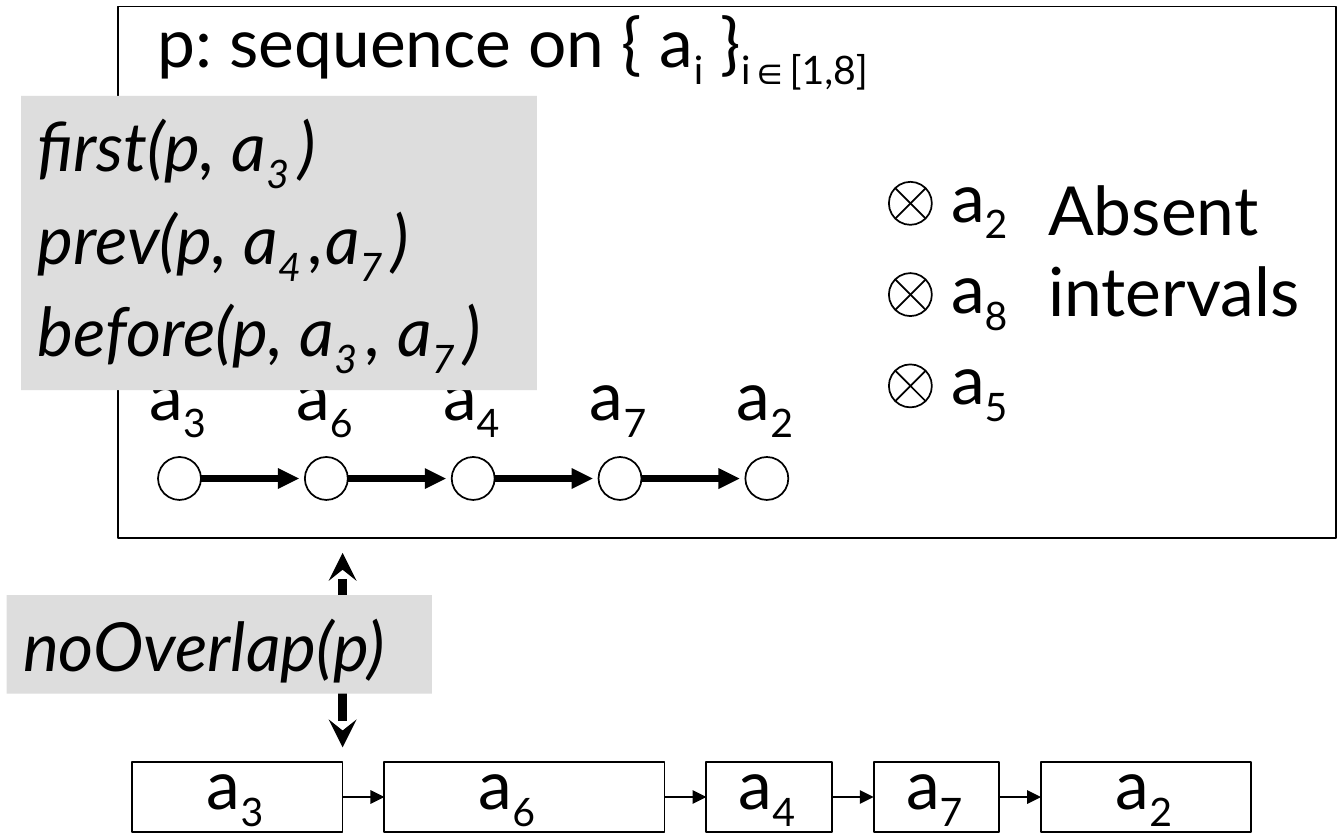
from itertools import groupby

from pptx import Presentation
from pptx.dml.color import RGBColor
from pptx.enum.shapes import MSO_CONNECTOR as CONN, MSO_SHAPE as SHAPE
from pptx.enum.text import MSO_ANCHOR as ANCHOR, PP_ALIGN as ALIGN
from pptx.oxml.ns import qn
from pptx.util import Cm, Pt
from lxml.etree import SubElement

COLORS = {"ink": "000000", "note": "DDDDDD"}
DOT = 0.65
LABEL_W, LABEL_H = 1.42, 1.65


def rgb(name):
    """Return the named colour."""
    return RGBColor.from_string(COLORS[name])


def write(tf, lines, italic=False, wrap=True):
    """Write lines whose odd-numbered parts are subscripts."""
    tf.word_wrap = wrap
    tf.vertical_anchor = ANCHOR.TOP
    for i, parts in enumerate(lines):
        p = tf.paragraphs[0] if i == 0 else tf.add_paragraph()
        p.alignment = ALIGN.LEFT
        for j, part in enumerate(parts):
            for symbol, chars in groupby(part, lambda c: c == "∈"):
                r = p.add_run()
                r.text = "".join(chars)
                r.font.name = "Arial" if symbol else "Lato"
                r.font.size = Pt(29)
                r.font.italic = italic
                r.font.color.rgb = rgb("ink")
                if j % 2:
                    r.font._element.set("baseline", "-25000")


def add_text(s, x, y, w, h, lines, wrap=True):
    """Add a text box."""
    tb = s.shapes.add_textbox(Cm(x), Cm(y), Cm(w), Cm(h))
    write(tb.text_frame, lines, wrap=wrap)


def add_label(s, x, y, index, w=LABEL_W):
    """Add the label of interval a with its index."""
    add_text(s, x, y, w, LABEL_H, [["a", index]], wrap=w > LABEL_W)


def add_outline(s, kind, x, y, w, h):
    """Add an unfilled shape with a thin line."""
    sp = s.shapes.add_shape(kind, Cm(x), Cm(y), Cm(w), Cm(h))
    sp.shadow.inherit = False
    sp.fill.background()
    sp.line.color.rgb = rgb("ink")
    sp.line.width = Pt(0.75)
    return sp


def add_line(s, x1, y1, x2, y2, width=0.75, head=None, tail=None):
    """Add a straight line with optional arrowheads."""
    cn = s.shapes.add_connector(CONN.STRAIGHT, Cm(x1), Cm(y1), Cm(x2), Cm(y2))
    cn.line.color.rgb = rgb("ink")
    cn.line.width = Pt(width)
    ln = cn.line._get_or_add_ln()
    for tag, kind in (("a:headEnd", head), ("a:tailEnd", tail)):
        if kind:
            SubElement(ln, qn(tag), type=kind)
    SubElement(cn._element.spPr, qn("a:effectLst"))
    return cn


def add_note(s, x, y, w, h, lines):
    """Add a grey box of constraints in italics."""
    sp = s.shapes.add_shape(SHAPE.RECTANGLE, Cm(x), Cm(y), Cm(w), Cm(h))
    sp.shadow.inherit = False
    sp.fill.solid()
    sp.fill.fore_color.rgb = rgb("note")
    sp.line.fill.background()
    write(sp.text_frame, lines, italic=True)


def add_chain(s, x, y, indices, pitch=2.22):
    """Add the row of labelled circles joined by thick arrows."""
    for i, index in enumerate(indices):
        left = x + i * pitch
        add_outline(s, SHAPE.OVAL, left, y, DOT, DOT)
        add_label(s, left - 0.38, y - 1.7, index)
        if i < len(indices) - 1:
            mid = y + DOT / 2
            add_line(s, left + DOT, mid, left + DOT + 1.48, mid, 3, tail="triangle")


def add_absent(s, x, y, indices, pitch=1.38, inset=0.1):
    """Add the column of crossed circles and its caption."""
    for i, index in enumerate(indices):
        top = y + i * pitch
        add_outline(s, SHAPE.OVAL, x, top, DOT, DOT)
        near, far = inset, DOT - inset
        add_line(s, x + near, top + near, x + far, top + far)
        add_line(s, x + near, top + far, x + far, top + near)
        add_label(s, x + 0.69, top - 0.54, index)
    add_text(s, x + 2.16, y - 0.34, 4.62, 2.72, [["Absent"], ["intervals"]])


def add_sequence_panel(s, x, y, w, h):
    """Add the framed sequence with its present and absent intervals."""
    add_outline(s, SHAPE.RECTANGLE, x, y, w, h)
    add_text(s, x + 0.34, y - 0.23, 11.91, LABEL_H,
             [["p: sequence on { a", "i", " }", "i∈[1,8]"]])
    add_absent(s, x + 11.65, y + 2.65, "285")
    add_chain(s, x + 0.6, y + 6.81, "36472")
    add_note(s, x - 1.47, y + 1.35, 7.8, 4.45, [
        ["first(p, a", "3 ", ")"],
        ["prev(p, a", "4 ", ",a", "7 ", ")"],
        ["before(p, a", "3 ", ", a", "7 ", ")"],
    ])


def add_link(s, x, y, h):
    """Add the double arrow and the constraint it stands for."""
    add_line(s, x, y + h, x, y, 4, head="stealth", tail="stealth")
    add_note(s, x - 5.08, y + 0.64, 6.43, 1.49, [["noOverlap(p)"]])


def add_timeline(s, x, y, h, gap=0.63):
    """Add the row of interval bars joined by thin arrows."""
    bars = [("3", 3.18, LABEL_W), ("6", 4.24, 1.88), ("4", 1.9, LABEL_W),
            ("7", 1.9, LABEL_W), ("2", 3.18, LABEL_W)]
    previous = None
    for index, w, label_w in bars:
        bar = add_outline(s, SHAPE.RECTANGLE, x, y, w, h)
        add_label(s, x + (w - label_w) / 2, y - 0.43, index, label_w)
        if previous is not None:
            cn = add_line(s, x - gap, y + h / 2, x, y + h / 2, tail="triangle")
            cn.begin_connect(previous, 3)
            cn.end_connect(bar, 1)
        previous = bar
        x += w + gap


def main():
    """Build and save the slide."""
    prs = Presentation()
    prs.slide_width, prs.slide_height = Cm(20.32), Cm(12.7)
    s = prs.slides.add_slide(prs.slide_layouts[6])
    add_sequence_panel(s, 1.79, 0.1, 18.41, 8.04)
    add_link(s, 5.18, 8.36, 2.94)
    add_timeline(s, 2.0, 11.52, 1.06)
    prs.save("out.pptx")


if __name__ == "__main__":
    main()
